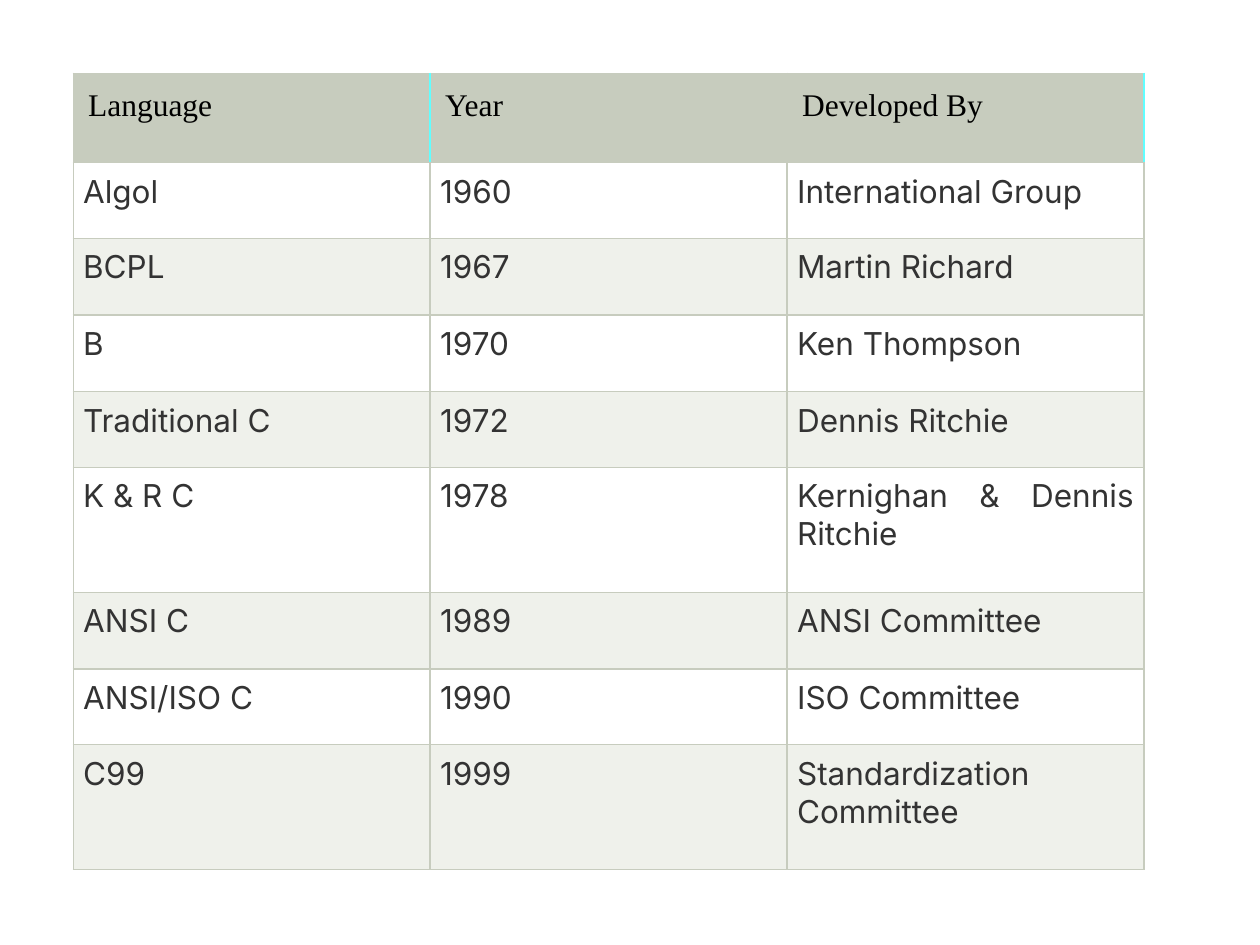
import dataclasses

import pptx
import pptx.dml.color
import pptx.enum.text
import pptx.oxml
import pptx.oxml.ns
import pptx.util

Inches = pptx.util.Inches
Align = pptx.enum.text.PP_ALIGN


@dataclasses.dataclass
class Theme:
    head: str = "C7CCBE"
    accent: str = "60FEFF"
    plain: str = "FFFFFF"
    band: str = "EFF1EB"
    ink: str = "333333"
    dark: str = "000000"
    serif: str = "Times New Roman"
    sans: str = "Inter"
    size: float = 18
    rule: float = 0.75


class Deck:
    def __init__(self, theme):
        self.theme = theme
        self.file = pptx.Presentation()
        self.file.slide_width = Inches(10)
        self.file.slide_height = Inches(7.5)
        self.slide = self.file.slides.add_slide(self.file.slide_layouts[6])

    def edge(self, cell, sides):
        props = cell._tc.get_or_add_tcPr()
        space = pptx.oxml.ns.nsdecls("a")
        width = pptx.util.Pt(self.theme.rule)
        for spot, (side, color) in enumerate(sides.items()):
            line = pptx.oxml.parse_xml(
                f'<a:ln{side} {space} w="{width}"><a:solidFill>'
                f'<a:srgbClr val="{color}"/></a:solidFill></a:ln{side}>'
            )
            props.insert(spot, line)

    def cell(self, cell, text, fill, font, color, inset, align):
        cell.fill.solid()
        cell.fill.fore_color.rgb = pptx.dml.color.RGBColor.from_string(fill)
        cell.margin_left = cell.margin_right = Inches(inset)
        cell.margin_top = cell.margin_bottom = Inches(inset)
        cell.text = text
        para = cell.text_frame.paragraphs[0]
        para.alignment = align
        para.font.name = font
        para.font.size = pptx.util.Pt(self.theme.size)
        para.font.bold = False
        para.font.color.rgb = pptx.dml.color.RGBColor.from_string(color)

    def table(self, data, left, top, width, tall):
        look = self.theme
        count = len(data[0])
        frame = self.slide.shapes.add_table(
            len(data), count, Inches(left), Inches(top), Inches(width), Inches(sum(tall))
        )
        grid = frame.table
        for row, size in zip(grid.rows, tall):
            row.height = Inches(size)
        for col in grid.columns:
            col.width = Inches(width / count)
        for r, line in enumerate(data):
            for c, text in enumerate(line):
                cell = grid.cell(r, c)
                sides = dict.fromkeys("LRTB", look.head)
                if r == 0:
                    self.cell(cell, text, look.head, look.serif, look.dark, 0.12, Align.LEFT)
                    if c == 1:
                        sides["L"] = look.accent
                    else:
                        sides["R"] = look.accent
                else:
                    fill = look.plain if r % 2 else look.band
                    self.cell(cell, text, fill, look.sans, look.ink, 0.08, Align.JUSTIFY)
                self.edge(cell, sides)

    def save(self):
        self.file.save("out.pptx")


def main():
    data = [
        ("Language", "Year", "Developed By"),
        ("Algol", "1960", "International Group"),
        ("BCPL", "1967", "Martin Richard"),
        ("B", "1970", "Ken Thompson"),
        ("Traditional C", "1972", "Dennis Ritchie"),
        ("K & R C", "1978", "Kernighan & Dennis Ritchie"),
        ("ANSI C", "1989", "ANSI Committee"),
        ("ANSI/ISO C", "1990", "ISO Committee"),
        ("C99", "1999", "Standardization Committee"),
    ]
    tall = [0.71, 0.6, 0.61, 0.61, 0.6, 0.99, 0.61, 0.6, 0.99]
    deck = Deck(Theme())
    deck.table(data, 0.58, 0.58, 8.5, tall)
    deck.save()


if __name__ == "__main__":
    main()
